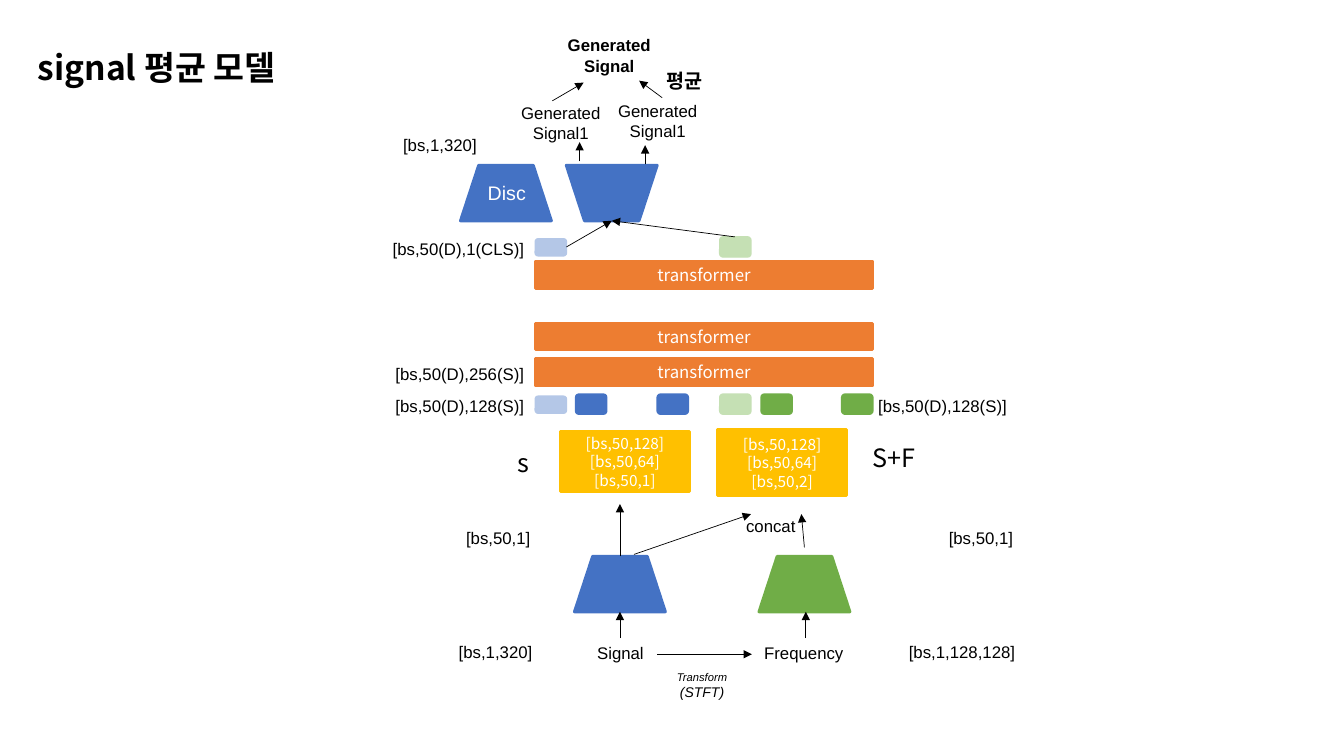
from lxml import etree
from pptx import Presentation
from pptx.dml.color import RGBColor
from pptx.enum.shapes import MSO_CONNECTOR, MSO_SHAPE as Preset
from pptx.enum.text import MSO_ANCHOR as Anchor, PP_ALIGN as Align
from pptx.oxml.ns import qn
from pptx.util import Pt

SANS, KOREAN = "Arial", "Noto Sans CJK KR"
BLACK, WHITE = "000000", "FFFFFF"
BLUE, GREEN, ORANGE, GOLD = "4472C4", "70AD47", "ED7D31", "FFC000"
PALE_BLUE, PALE_GREEN = "B4C7E7", "C5E0B4"
LEFT, CENTER, RIGHT = Align.LEFT, Align.CENTER, Align.RIGHT

# Networks: left, top, colour, rotation
NETWORK_SIZE = (64.8, 39.6)
NETWORKS = [
    (410.4, 397.4, BLUE, 180),
    (542.2, 397.4, GREEN, 180),
    (404.6, 118.1, BLUE, 0),
    (329, 118.1, BLUE, 180),
]

# Transformer bars share one left edge and size
BAR_LEFT, BAR_WIDTH, BAR_HEIGHT = 382.3, 241.2, 18.7
BAR_TOPS = [256.3, 231.1, 187.2]

# Encoders: left, top, width, height, lines
ENCODERS = [
    (400.3, 308.2, 92.2, 43.2, ["[bs,50,128]", "[bs,50,64]", "[bs,50,1]"]),
    (512.6, 306.7, 92.2, 47.5, ["[bs,50,128]", "[bs,50,64]", "[bs,50,2]"]),
]

# Tokens: left, top, height, colour
TOKEN_WIDTH = 22.3
TOKENS = [
    (382.3, 283, 12.2, PALE_BLUE),
    (411.1, 281.5, 14.4, BLUE),
    (469.4, 281.5, 14.4, BLUE),
    (514.1, 281.5, 14.4, PALE_GREEN),
    (543.6, 281.5, 14.4, GREEN),
    (601.2, 281.5, 14.4, GREEN),
    (382.3, 170.6, 12.2, PALE_BLUE),
    (514.1, 169.2, 14.4, PALE_GREEN),
]

# Tensor sizes, right aligned: left, top, width, text
TENSOR_SIZES = [
    (316.8, 455, 70.6, "[bs,1,320]"),
    (315.4, 373.7, 70.6, "[bs,50,1]"),
    (272.2, 279.4, 109.4, "[bs,50(D),128(S)]"),
    (272.2, 256.3, 109.4, "[bs,50(D),256(S)]"),
    (272.2, 167, 109.4, "[bs,50(D),1(CLS)]"),
    (238.3, 92.9, 109.4, "[bs,1,320]"),
    (640.1, 455, 92.2, "[bs,1,128,128]"),
    (660.2, 373.7, 70.6, "[bs,50,1]"),
    (617, 279.4, 109.4, "[bs,50(D),128(S)]"),
    (504.7, 365, 70.6, "concat"),
]

# Signal names, centred: left, top, width, height, lines, bold
SIGNAL_NAMES = [
    (416.9, 455.8, 52.6, 21.6, ["Signal"], False),
    (537.1, 455.8, 74.2, 21.6, ["Frequency"], False),
    (362.6, 69.8, 76, 36, ["Generated", "Signal1"], False),
    (431.8, 68.4, 76, 36, ["Generated", "Signal1"], False),
    (397.2, 21.6, 76, 36, ["Generated", "Signal"], True),
]

# Other labels: left, top, width, height, text, size, font, colour, bold
LABELS = [
    (341.3, 126, 59, 24.5, "Disc", 14, SANS, WHITE, False),
    (362.9, 316.1, 36.7, 28.8, "s", 18, KOREAN, BLACK, False),
    (616.3, 312.5, 60.5, 28.8, "S+F", 18, KOREAN, BLACK, False),
    (468.7, 45.4, 64.1, 24.5, "평균", 14, KOREAN, BLACK, True),
]

# Arrows: start x, start y, end x, end y
ARROWS = [
    (469.4, 467.3, 537.1, 467.3),
    (442.8, 455.8, 442.8, 437),
    (575.6, 455.8, 575.6, 437),
    (442.8, 397.4, 442.8, 360),
    (452.9, 396, 536.4, 367.2),
    (574.6, 391, 572.4, 367.2),
    (404.6, 176.4, 437, 157.7),
    (524.9, 169.2, 437, 157.7),
    (414, 115.2, 414, 101.5),
    (460.8, 117.4, 460.8, 103.7),
    (473, 69.8, 456.5, 57.6),
    (394.6, 72, 416.9, 59),
]


def color(hex_text):
    return RGBColor.from_string(hex_text)


def write(shape, lines, size, font=SANS, ink=BLACK, align=CENTER,
          anchor=Anchor.TOP, bold=False, italic=False):
    frame = shape.text_frame
    frame.text = "\n".join(lines)
    frame.word_wrap = True
    frame.vertical_anchor = anchor
    for para in frame.paragraphs:
        para.alignment = align
        for span in para.runs:
            span.font.size = Pt(size)
            span.font.bold, span.font.italic = bold, italic
            span.font.color.rgb = color(ink)
            span.font.name = font
            east_asian = etree.SubElement(span.font._element, qn("a:ea"))
            east_asian.set("typeface", font)
    return frame


def add_text(page, left, top, width, height, lines, size, **style):
    box = page.shapes.add_textbox(Pt(left), Pt(top), Pt(width), Pt(height))
    return write(box, lines, size, **style)


def add_block(page, preset, left, top, width, height, fill, line_width=2.25):
    block = page.shapes.add_shape(preset, Pt(left), Pt(top), Pt(width), Pt(height))
    block.shadow.inherit = False
    block.fill.solid()
    block.fill.fore_color.rgb = color(fill)
    block.line.color.rgb = color(fill)
    block.line.width = Pt(line_width)
    return block


def add_arrow(page, *ends):
    arrow = page.shapes.add_connector(MSO_CONNECTOR.STRAIGHT, *map(Pt, ends))
    arrow.line.color.rgb = color(BLACK)
    arrow.line.width = Pt(0.5)
    etree.SubElement(arrow.line._get_or_add_ln(), qn("a:tailEnd")).set("type", "triangle")
    etree.SubElement(arrow._element.spPr, qn("a:effectLst"))


def main():
    deck = Presentation()
    deck.slide_width, deck.slide_height = Pt(960), Pt(540)
    page = deck.slides.add_slide(deck.slide_layouts[6])

    # Title
    title = add_text(page, 19.8, 13, 822, 72.7, ["signal 평균 모델"], 24,
                     font=KOREAN, align=LEFT, anchor=Anchor.MIDDLE, bold=True)
    title.paragraphs[0].line_spacing = 0.9

    # Model blocks
    for left, top, fill, rotation in NETWORKS:
        network = add_block(page, Preset.FLOWCHART_MANUAL_OPERATION,
                            left, top, *NETWORK_SIZE, fill)
        network.rotation = rotation
    for top in BAR_TOPS:
        bar = add_block(page, Preset.RECTANGLE, BAR_LEFT, top, BAR_WIDTH, BAR_HEIGHT, ORANGE)
        write(bar, ["transformer"], 12, KOREAN, WHITE, anchor=Anchor.MIDDLE)
    for *place, lines in ENCODERS:
        encoder = add_block(page, Preset.RECTANGLE, *place, GOLD)
        write(encoder, lines, 11, KOREAN, WHITE, anchor=Anchor.MIDDLE)
    for left, top, height, fill in TOKENS:
        add_block(page, Preset.ROUNDED_RECTANGLE, left, top, TOKEN_WIDTH, height, fill, 1)

    # Labels
    for left, top, width, text in TENSOR_SIZES:
        add_text(page, left, top, width, 21.6, [text], 12, align=RIGHT)
    for *place, lines, bold in SIGNAL_NAMES:
        add_text(page, *place, lines, 12, bold=bold)
    for *place, text, size, font, ink, bold in LABELS:
        add_text(page, *place, [text], size, font=font, ink=ink, align=LEFT, bold=bold)
    transform = add_text(page, 475.2, 475.2, 52.6, 28.8, ["Transform", "(STFT)"], 10, italic=True)
    transform.paragraphs[0].runs[0].font.size = Pt(8)

    # Data flow
    for ends in ARROWS:
        add_arrow(page, *ends)

    deck.save("out.pptx")


if __name__ == "__main__":
    main()
